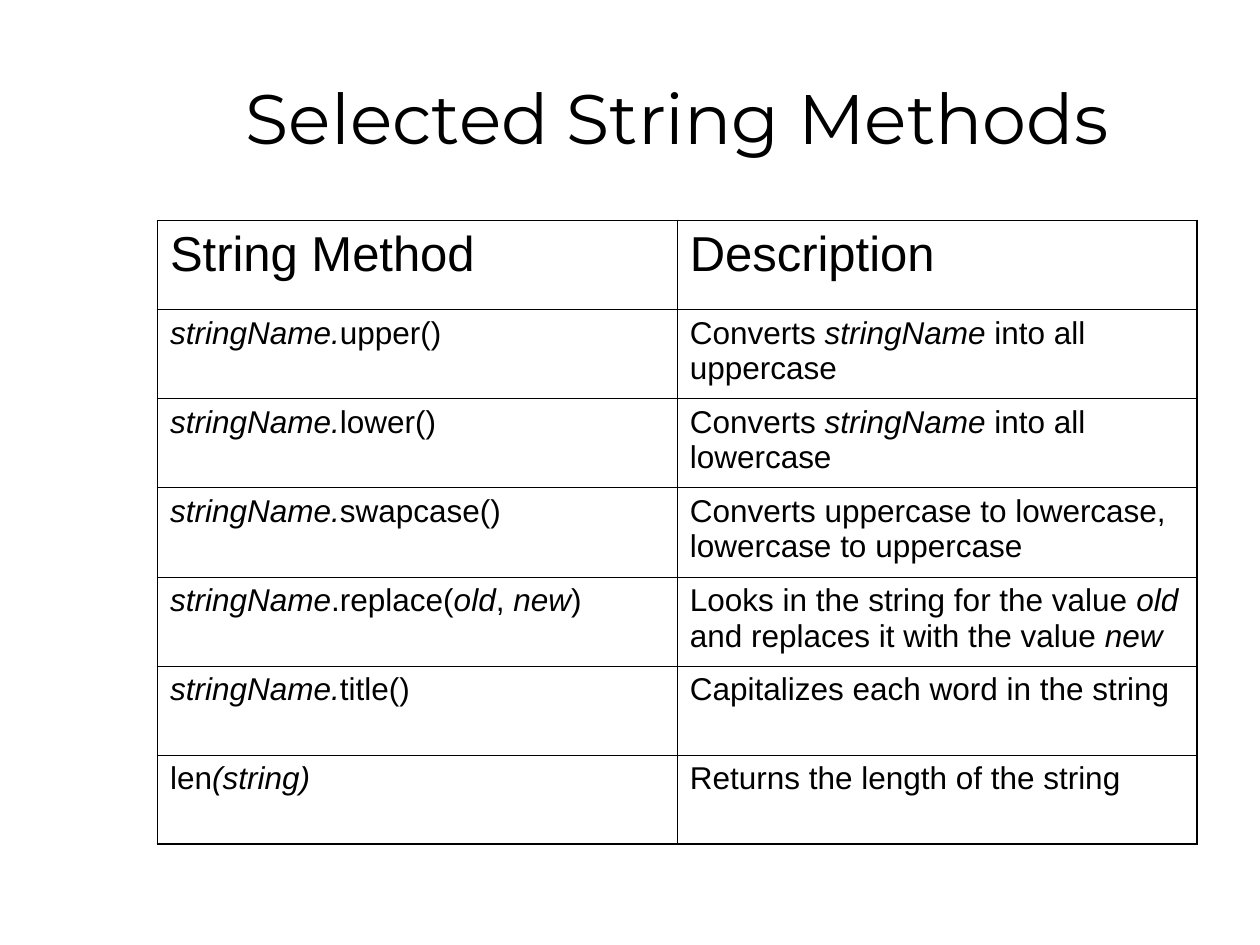
from typing import NamedTuple

from lxml.etree import SubElement
from pptx import Presentation
from pptx.dml.color import RGBColor
from pptx.enum.text import MSO_ANCHOR, PP_ALIGN
from pptx.oxml.ns import qn
from pptx.util import Inches, Pt

COLORS = {"ink": "000000"}
HEADING_FONT, BODY_FONT = "Montserrat", "Arial"
TITLE_SIZE, HEADER_SIZE, BODY_SIZE = 40, 28, 18
OUTER_LINE, INNER_LINE = Pt(1.08), Pt(0.45)

SLIDE_WIDTH, SLIDE_HEIGHT = Inches(10), Inches(7.5)
LEFT = int(SLIDE_WIDTH * 0.125)
CONTENT_WIDTH = int(SLIDE_WIDTH * 0.825)
TITLE_TOP, TITLE_HEIGHT = int(SLIDE_HEIGHT * 0.04), Inches(1.25)
TABLE_TOP, TABLE_HEIGHT = Inches(1.75), int(SLIDE_HEIGHT * 0.66)


class Span(NamedTuple):
    text: str
    italic: bool = False


class Method(NamedTuple):
    call: list[Span]
    description: list[Span]


def em(text: str) -> Span:
    return Span(text, italic=True)


HEADER = Method([Span("String Method")], [Span("Description")])
METHODS = [
    Method([em("stringName."), Span("upper()")],
           [Span("Converts "), em("stringName"), Span(" into all uppercase")]),
    Method([em("stringName."), Span("lower()")],
           [Span("Converts "), em("stringName"), Span(" into all lowercase")]),
    Method([em("stringName."), Span("swapcase()")],
           [Span("Converts uppercase to lowercase, lowercase to uppercase")]),
    Method([em("stringName"), Span(".replace("), em("old"), Span(", "),
            em("new"), Span(")")],
           [Span("Looks in the string for the value "), em("old"),
            Span(" and replaces it with the value "), em("new")]),
    Method([em("stringName."), Span("title()")],
           [Span("Capitalizes each word in the string")]),
    Method([Span("len"), em("(string)")],
           [Span("Returns the length of the string")]),
]


def add_spans(paragraph, spans: list[Span], font_name: str, size: int) -> None:
    for span in spans:
        run = paragraph.add_run()
        run.text = span.text
        run.font.name = font_name
        run.font.size = Pt(size)
        run.font.italic = span.italic
        run.font.color.rgb = RGBColor.from_string(COLORS["ink"])


def add_title(slide, text: str) -> None:
    frame = slide.shapes.add_textbox(
        LEFT, TITLE_TOP, CONTENT_WIDTH, TITLE_HEIGHT).text_frame
    frame.word_wrap = True
    frame.vertical_anchor = MSO_ANCHOR.MIDDLE
    heading = frame.paragraphs[0]
    heading.alignment = PP_ALIGN.CENTER
    add_spans(heading, [Span(text)], HEADING_FONT, TITLE_SIZE)


def set_borders(cell, outer_edges: dict[str, bool]) -> None:
    """Draw the four borders, heavier on the table's outer edges."""
    properties = cell._tc.get_or_add_tcPr()
    for edge, is_outer in outer_edges.items():
        width = OUTER_LINE if is_outer else INNER_LINE
        line = SubElement(properties, qn(f"a:ln{edge}"), w=str(int(width)))
        fill = SubElement(line, qn("a:solidFill"))
        SubElement(fill, qn("a:srgbClr"), val=COLORS["ink"])


def add_method_table(slide, rows: list[Method]) -> None:
    row_count, column_count = len(rows), len(HEADER)
    table = slide.shapes.add_table(
        row_count, column_count, LEFT, TABLE_TOP,
        CONTENT_WIDTH, TABLE_HEIGHT).table
    table.first_row = False
    table.horz_banding = False
    for r, method in enumerate(rows):
        size = HEADER_SIZE if r == 0 else BODY_SIZE
        for c, spans in enumerate(method):
            cell = table.cell(r, c)
            add_spans(cell.text_frame.paragraphs[0], spans, BODY_FONT, size)
            set_borders(cell, {"L": c == 0, "R": c == column_count - 1,
                               "T": r == 0, "B": r == row_count - 1})
            cell.fill.background()


def main() -> None:
    deck = Presentation()
    deck.slide_width, deck.slide_height = SLIDE_WIDTH, SLIDE_HEIGHT
    slide = deck.slides.add_slide(deck.slide_layouts[6])
    add_title(slide, "Selected String Methods")
    add_method_table(slide, [HEADER, *METHODS])
    deck.save("out.pptx")


if __name__ == "__main__":
    main()
